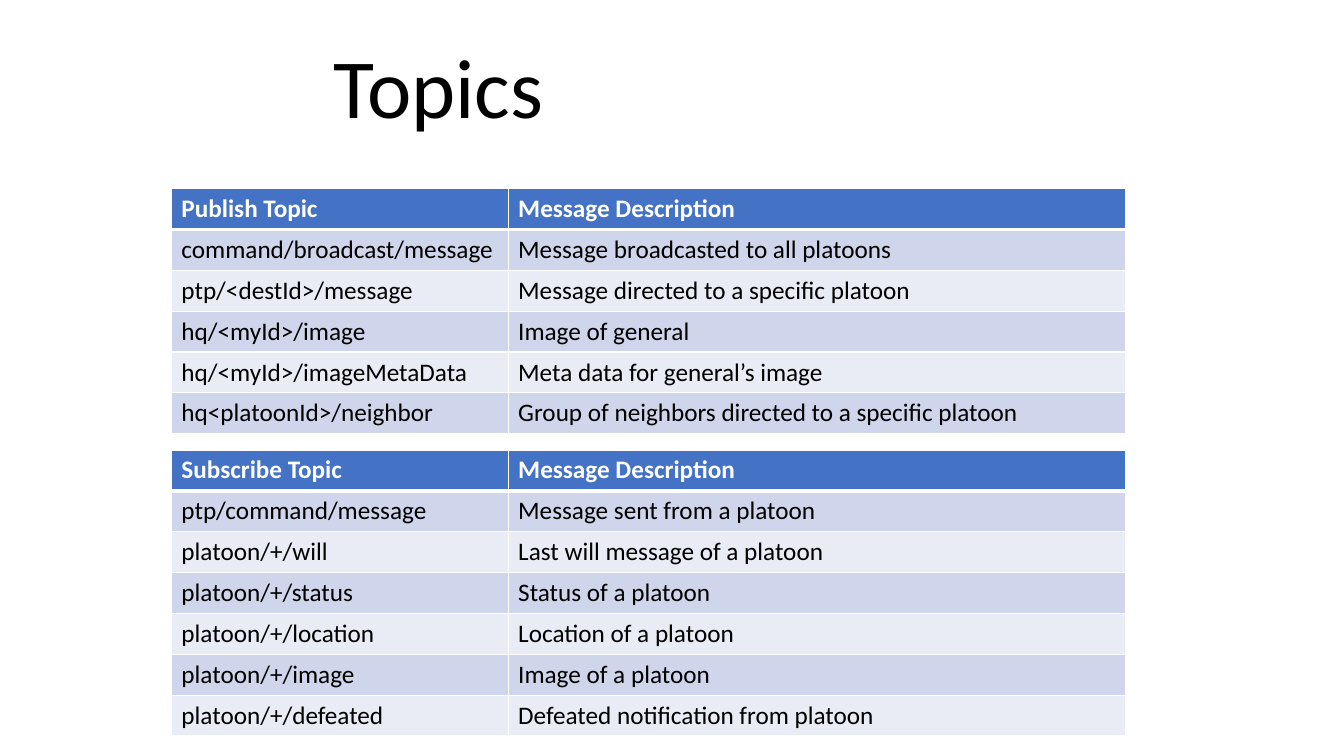
from dataclasses import dataclass
from lxml.etree import SubElement as Sub
from pptx import Presentation
from pptx.dml.color import RGBColor as RGB
from pptx.enum.text import MSO_ANCHOR as Anchor, PP_ALIGN as Align
from pptx.oxml.ns import qn
from pptx.util import Inches, Pt


@dataclass(frozen=True)
class Theme:
    """Hold the colours, type sizes and line widths."""
    font: str = "Calibri"
    head: str = "4472C4"
    bands: tuple = ("CFD5EA", "E9EBF5")
    ink: str = "000000"
    white: str = "FFFFFF"
    title: int = 60
    body: int = 18
    thin: int = 1
    thick: int = 3


THEME = Theme()
WIDE, HIGH = Inches(13.33), Inches(7.5)
LEFT, TOP, GAP = Inches(1.7), Inches(1.87), Inches(0.16)
COLS = Inches(3.34), Inches(6.12)
ROW = Pt(29.2)

PUBLISH = (
    ("Publish Topic", "Message Description"),
    ("command/broadcast/message", "Message broadcasted to all platoons"),
    ("ptp/<destId>/message", "Message directed to a specific platoon"),
    ("hq/<myId>/image", "Image of general"),
    ("hq/<myId>/imageMetaData", "Meta data for general’s image"),
    ("hq<platoonId>/neighbor", "Group of neighbors directed to a specific platoon"),
)
SUBSCRIBE = (
    ("Subscribe Topic", "Message Description"),
    ("ptp/command/message", "Message sent from a platoon"),
    ("platoon/+/will", "Last will message of a platoon"),
    ("platoon/+/status", "Status of a platoon"),
    ("platoon/+/location", "Location of a platoon"),
    ("platoon/+/image", "Image of a platoon"),
    ("platoon/+/defeated", "Defeated notification from platoon"),
)


def style(para, size, color, bold=False):
    """Set the font of a paragraph."""
    font = para.font
    font.name, font.size, font.bold = THEME.font, Pt(size), bold
    font.color.rgb = RGB.from_string(color)


def border(cell, row):
    """Draw white cell borders, with a thick rule under the header row."""
    props = cell._tc.get_or_add_tcPr()
    thick = {0: "lnB", 1: "lnT"}.get(row)
    for i, side in enumerate(("lnL", "lnR", "lnT", "lnB")):
        width = THEME.thick if side == thick else THEME.thin
        line = Sub(props, qn(f"a:{side}"), w=str(Pt(width)))
        fill = Sub(line, qn("a:solidFill"))
        Sub(fill, qn("a:srgbClr"), val=THEME.white)
        props.insert(i, line)


def title(slide, text, box):
    """Place the slide title in its box."""
    shape = slide.shapes.title
    shape.left, shape.top, shape.width, shape.height = box
    frame = shape.text_frame
    frame.text = text
    frame.word_wrap = False
    frame.vertical_anchor = Anchor.TOP
    para = frame.paragraphs[0]
    para.alignment = Align.LEFT
    style(para, THEME.title, THEME.ink)


def topics(slide, rows, left, top):
    """Add a topic table and return its bottom edge."""
    high = ROW * len(rows)
    table = slide.shapes.add_table(
        len(rows), len(COLS), left, top, sum(COLS), high).table
    for col, width in zip(table.columns, COLS):
        col.width = width
    for r, texts in enumerate(rows):
        table.rows[r].height = ROW
        fill = THEME.bands[(r - 1) % 2] if r else THEME.head
        color = THEME.ink if r else THEME.white
        for c, text in enumerate(texts):
            cell = table.cell(r, c)
            cell.text = text
            cell.fill.solid()
            cell.fill.fore_color.rgb = RGB.from_string(fill)
            style(cell.text_frame.paragraphs[0], THEME.body, color, r == 0)
            border(cell, r)
    return top + high


def main():
    """Build and save the slide."""
    deck = Presentation()
    deck.slide_width, deck.slide_height = WIDE, HIGH
    slide = deck.slides.add_slide(deck.slide_layouts[5])
    title(slide, "Topics", [Inches(n) for n in (3.21, 0.29, 2.3, 1.11)])
    top = TOP
    for rows in (PUBLISH, SUBSCRIBE):
        top = topics(slide, rows, LEFT, top) + GAP
    deck.save("out.pptx")


if __name__ == "__main__":
    main()
